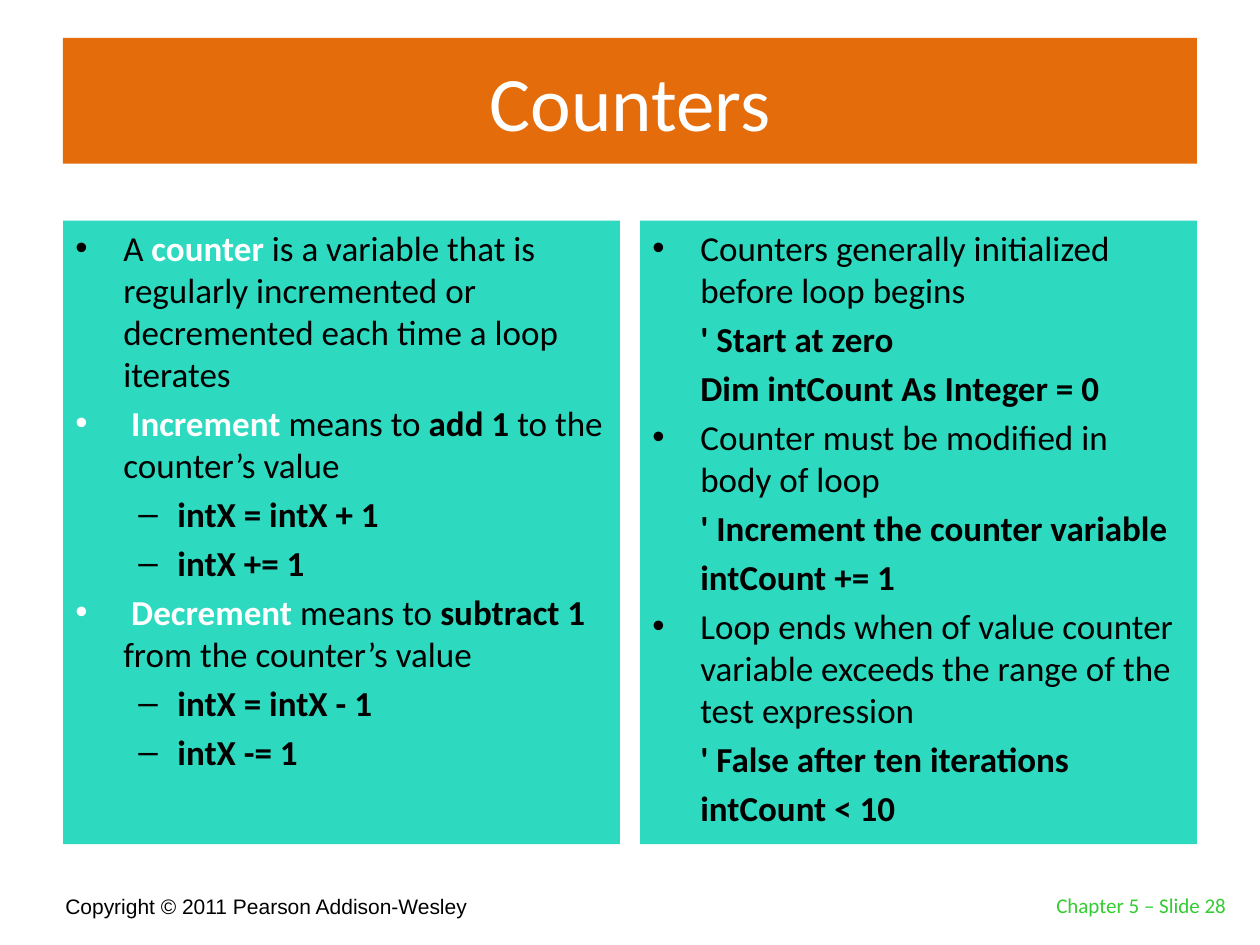
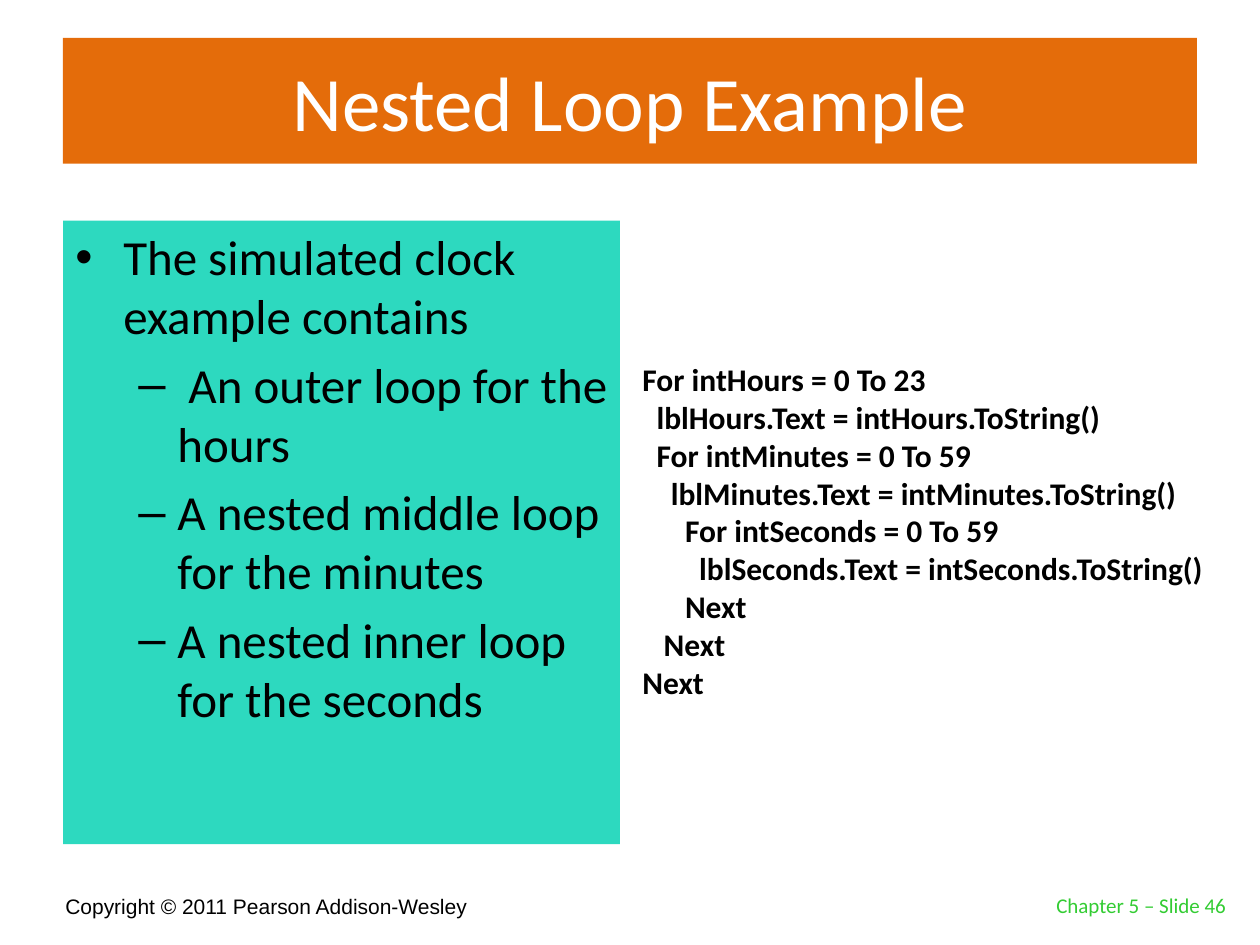
"""Build two lecture slides about loop counters and nested loops."""
from dataclasses import dataclass

from lxml import etree
from pptx import Presentation
from pptx import util as u
from pptx.dml.color import RGBColor
from pptx.enum import shapes, text
from pptx.oxml import ns


@dataclass(frozen=True)
class Theme:
    band: str = "E46C0A"
    panel: str = "2DD9BF"
    ink: str = "000000"
    light: str = "FFFFFF"
    page_number: str = "33CC33"
    body_font: str = "Calibri"
    footer_font: str = "Arial"
    title_size: int = 44
    large_size: int = 28
    text_size: int = 20
    code_size: int = 18
    footer_size: int = 12


THEME = Theme()


@dataclass(frozen=True)
class Area:
    left: float
    top: float
    width: float
    height: float

    def lengths(self) -> list:
        return [u.Inches(side) for side in (self.left, self.top, self.width, self.height)]


@dataclass(frozen=True)
class Style:
    size: int
    color: str = THEME.ink
    font: str = THEME.body_font
    align: text.PP_ALIGN = text.PP_ALIGN.LEFT
    anchor: text.MSO_ANCHOR = text.MSO_ANCHOR.TOP
    space_ratio: float = 0


@dataclass(frozen=True)
class Level:
    margin: float = 0
    indent: float = 0
    bullet: str = ""


@dataclass(frozen=True)
class Span:
    words: str
    bold: bool = False
    color: str = ""


@dataclass(frozen=True)
class Line:
    spans: tuple
    level: Level = Level()


@dataclass(frozen=True)
class Panel:
    column: int
    size: int
    lines: list


PLAIN = Level()
POINT = Level(0.38, -0.38, "•")
DASH = Level(0.81, -0.31, "–")
CODE = Level(0.38)

TITLE_AREA = Area(0.5, 0.3, 9, 1)
COPYRIGHT_AREA = Area(0.42, 6.92, 6.08, 0.42)
NUMBER_AREA = Area(7.75, 6.83, 2.08, 0.5)
LISTING_AREA = Area(5, 2.81, 4.75, 2.83)
COLUMNS = [Area(left, 1.75, 4.42, 4.95) for left in (0.5, 5.08)]

TITLE = Style(THEME.title_size, THEME.light, align=text.PP_ALIGN.CENTER,
              anchor=text.MSO_ANCHOR.MIDDLE)
COPYRIGHT = Style(THEME.footer_size, font=THEME.footer_font, anchor=text.MSO_ANCHOR.BOTTOM)
NUMBER = Style(THEME.footer_size, THEME.page_number, align=text.PP_ALIGN.RIGHT,
               anchor=text.MSO_ANCHOR.BOTTOM)
LISTING = Style(THEME.code_size)


def line(words: str, level: Level = PLAIN, bold: bool = False) -> Line:
    return Line((Span(words, bold),), level)


def term(words: str) -> Span:
    return Span(words, True, THEME.light)


COUNTER_RULES = [
    Line((Span("A "), term("counter"),
          Span(" is a variable that is regularly incremented or decremented "
               "each time a loop iterates")), POINT),
    Line((term(" Increment"), Span(" means to "), Span("add 1 ", True),
          Span("to the counter’s value")), POINT),
    line("intX = intX + 1", DASH, True),
    line("intX += 1", DASH, True),
    Line((term(" Decrement"), Span(" means to "), Span("subtract 1 ", True),
          Span("from the counter’s value")), POINT),
    line("intX = intX - 1", DASH, True),
    line("intX -= 1", DASH, True),
]
COUNTER_STEPS = [
    line("Counters generally initialized before loop begins", POINT),
    line("' Start at zero", CODE, True),
    line("Dim intCount As Integer = 0", CODE, True),
    line("Counter must be modified in body of loop", POINT),
    line("' Increment the counter variable", CODE, True),
    line("intCount += 1", CODE, True),
    line("Loop ends when of value counter variable exceeds the range "
         "of the test expression", POINT),
    line("' False after ten iterations", CODE, True),
    line("intCount < 10", CODE, True),
]
CLOCK_LOOPS = [
    line("The simulated clock example contains", POINT),
    line(" An outer loop for the hours", DASH),
    line("A nested middle loop for the minutes", DASH),
    line("A nested inner loop for the seconds", DASH),
]
CLOCK_CODE = """\
For intHours = 0 To 23
  lblHours.Text = intHours.ToString()
  For intMinutes = 0 To 59
    lblMinutes.Text = intMinutes.ToString()
      For intSeconds = 0 To 59
        lblSeconds.Text = intSeconds.ToString()
      Next
   Next
Next"""


def set_level(para, level: Level) -> None:
    properties = para._p.get_or_add_pPr()
    for name, value in {"marL": level.margin, "indent": level.indent}.items():
        properties.set(name, str(int(u.Inches(value))))
    if level.bullet:
        etree.SubElement(properties, ns.qn("a:buFont"), typeface="Arial")
        etree.SubElement(properties, ns.qn("a:buChar"), char=level.bullet)
    else:
        etree.SubElement(properties, ns.qn("a:buNone"))


def write(box, lines: list, style: Style) -> None:
    frame = box.text_frame
    frame.word_wrap = True
    frame.vertical_anchor = style.anchor
    for index, entry in enumerate(lines):
        para = frame.add_paragraph() if index else frame.paragraphs[0]
        set_level(para, entry.level)
        para.alignment = style.align
        para.space_before = u.Pt(style.size * style.space_ratio if index else 0)
        for span in entry.spans:
            run = para.add_run()
            run.text = span.words
            formats = {"name": style.font, "size": u.Pt(style.size), "bold": span.bold}
            for name, value in formats.items():
                setattr(run.font, name, value)
            run.font.color.rgb = RGBColor.from_string(span.color or style.color)


def add_text(page, area: Area, lines: list, style: Style) -> None:
    write(page.shapes.add_textbox(*area.lengths()), lines, style)


def add_block(page, area: Area, fill: str, lines: list, style: Style) -> None:
    box = page.shapes.add_shape(shapes.MSO_SHAPE.RECTANGLE, *area.lengths())
    box.shadow.inherit = False
    box.fill.solid()
    box.fill.fore_color.rgb = RGBColor.from_string(fill)
    box.line.fill.background()
    write(box, lines, style)


def add_page(deck, title: str, number: int, panels: list):
    page = deck.slides.add_slide(deck.slide_layouts[6])
    add_text(page, COPYRIGHT_AREA, [line("Copyright © 2011 Pearson Addison-Wesley")], COPYRIGHT)
    add_block(page, TITLE_AREA, THEME.band, [line(title)], TITLE)
    for panel in panels:
        add_block(page, COLUMNS[panel.column], THEME.panel, panel.lines,
                  Style(panel.size, space_ratio=0.2))
    add_text(page, NUMBER_AREA, [line(f"Chapter 5 – Slide {number}")], NUMBER)
    return page


def main() -> None:
    deck = Presentation()
    deck.slide_width, deck.slide_height = u.Inches(10), u.Inches(7.5)
    add_page(deck, "Counters", 28, [Panel(0, THEME.text_size, COUNTER_RULES),
                                    Panel(1, THEME.text_size, COUNTER_STEPS)])
    clock = add_page(deck, "Nested Loop Example", 46,
                     [Panel(0, THEME.large_size, CLOCK_LOOPS)])
    add_text(clock, LISTING_AREA,
             [line(words, bold=True) for words in CLOCK_CODE.splitlines()], LISTING)
    deck.save("out.pptx")


if __name__ == "__main__":
    main()
